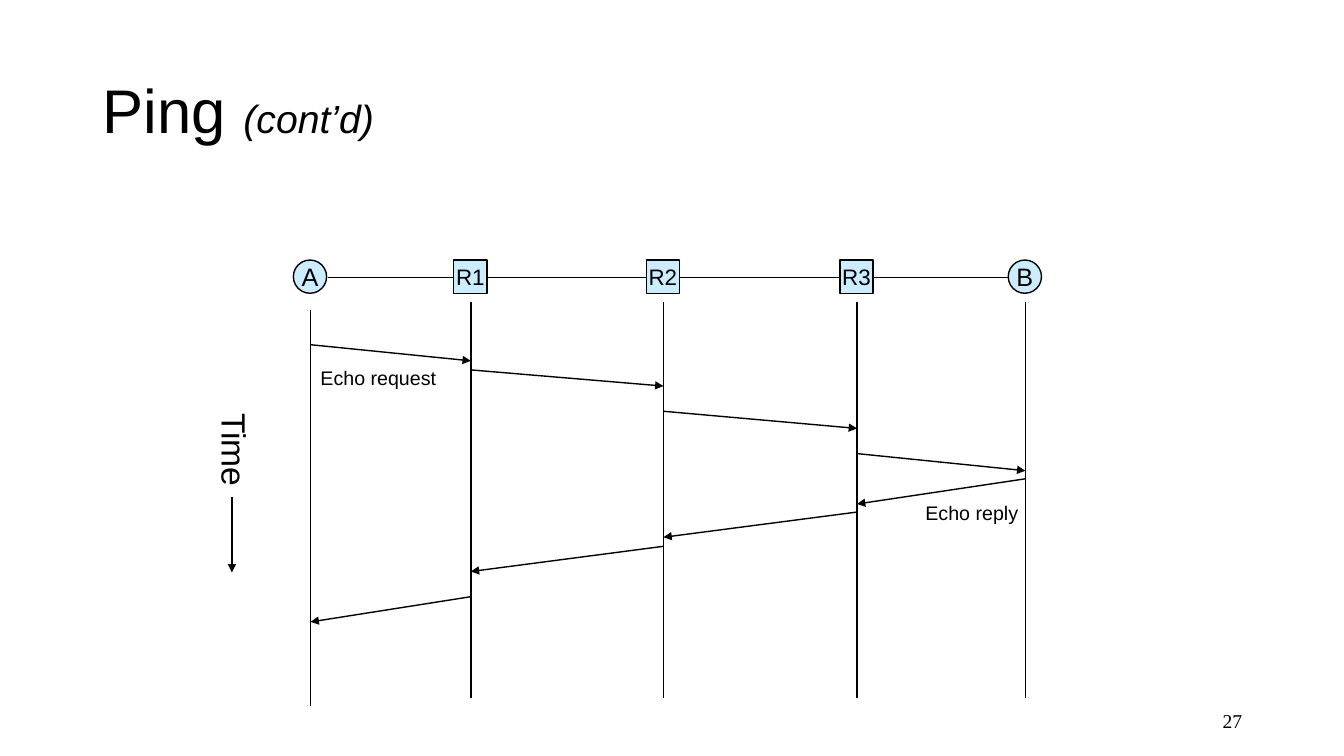
"""Build the ping slide: a time diagram of an echo request and its reply."""
from lxml import etree
from pptx import Presentation
from pptx.dml.color import RGBColor
from pptx.enum import shapes, text
from pptx.oxml import ns
from pptx.util import Inches, Pt

BLACK = RGBColor(0, 0, 0)
SKY = RGBColor(0xCC, 0xEC, 0xFF)
MID = text.MSO_ANCHOR.MIDDLE
LEFT, CENTER, RIGHT = text.PP_ALIGN.LEFT, text.PP_ALIGN.CENTER, text.PP_ALIGN.RIGHT


def write(frame, words, size, align=LEFT, face="Arial", wrap=False):
    frame.word_wrap = wrap
    para = frame.paragraphs[0]
    para.alignment = align
    run = para.add_run()
    run.text = words
    run.font.size = Pt(size)
    run.font.name = face
    run.font.color.rgb = BLACK
    return run


def draw(x1, y1, x2, y2, arrow=False):
    line = slide.shapes.add_connector(
        shapes.MSO_CONNECTOR.STRAIGHT, Inches(x1), Inches(y1), Inches(x2), Inches(y2))
    line.line.color.rgb = BLACK
    line.line.width = Pt(1)
    if arrow:
        etree.SubElement(line.line._get_or_add_ln(), ns.qn("a:tailEnd"), type="triangle")
    etree.SubElement(line._element.spPr, ns.qn("a:effectLst"))


deck = Presentation()
deck.slide_width, deck.slide_height = Inches(13.33), Inches(7.5)
slide = deck.slides.add_slide(deck.slide_layouts[5])

title = slide.shapes.title
title.left, title.top = Inches(0.92), Inches(0.4)
title.width, title.height = Inches(11.5), Inches(1.45)
frame = title.text_frame
frame.vertical_anchor = MID
write(frame, "Ping ", 44, wrap=True)
write(frame, "(cont’d)", 28, wrap=True).font.italic = True
frame.paragraphs[0].line_spacing = 0.9

draw(3.25, 2.75, 10.17, 2.75)

nodes = [("A", 3.08, 3.08), ("R1", 4.67, 3), ("R2", 6.58, 3), ("R3", 8.5, 3), ("B", 10.17, 3)]
for name, x, top in nodes:
    router = name.startswith("R")
    kind = shapes.MSO_SHAPE.RECTANGLE if router else shapes.MSO_SHAPE.OVAL
    node = slide.shapes.add_shape(
        kind, Inches(x - 0.17), Inches(2.58), Inches(0.33), Inches(0.33))
    node.shadow.inherit = False
    node.fill.solid()
    node.fill.fore_color.rgb = SKY
    node.line.color.rgb = BLACK
    node.line.width = Pt(1)
    node.text_frame.vertical_anchor = MID
    write(node.text_frame, name, 16 if router else 18, CENTER)
    draw(x, top, x, top + 3.92)

stops = [x for name, x, top in nodes]
asks = [(3.42, 3.58), (3.67, 3.83), (4.08, 4.25), (4.5, 4.67)]
replies = [(4.75, 5), (5.08, 5.33), (5.42, 5.67), (5.92, 6.17)]
for path in ((stops, asks), (stops[::-1], replies)):
    xs, times = path
    for start, end, (sent, got) in zip(xs, xs[1:], times):
        draw(start, sent, end, got, True)
draw(2.3, 4.93, 2.3, 5.68, True)

labels = [
    ("Time", 1.86, 4.22, 0.94, 0.5, 24, 90),
    ("Echo request", 3.08, 3.58, 1.35, 0.33, 14, 0),
    ("Echo reply", 9.08, 4.92, 1.12, 0.33, 14, 0),
]
for words, x, y, wide, high, size, turn in labels:
    label = slide.shapes.add_textbox(Inches(x), Inches(y), Inches(wide), Inches(high))
    label.rotation = turn
    label.text_frame.auto_size = text.MSO_AUTO_SIZE.SHAPE_TO_FIT_TEXT
    write(label.text_frame, words, size)

page = slide.shapes.add_textbox(Inches(9.42), Inches(6.95), Inches(3), Inches(0.4))
page.text_frame.vertical_anchor = MID
write(page.text_frame, "27", 14, RIGHT, "Times New Roman", True)

deck.save("out.pptx")
